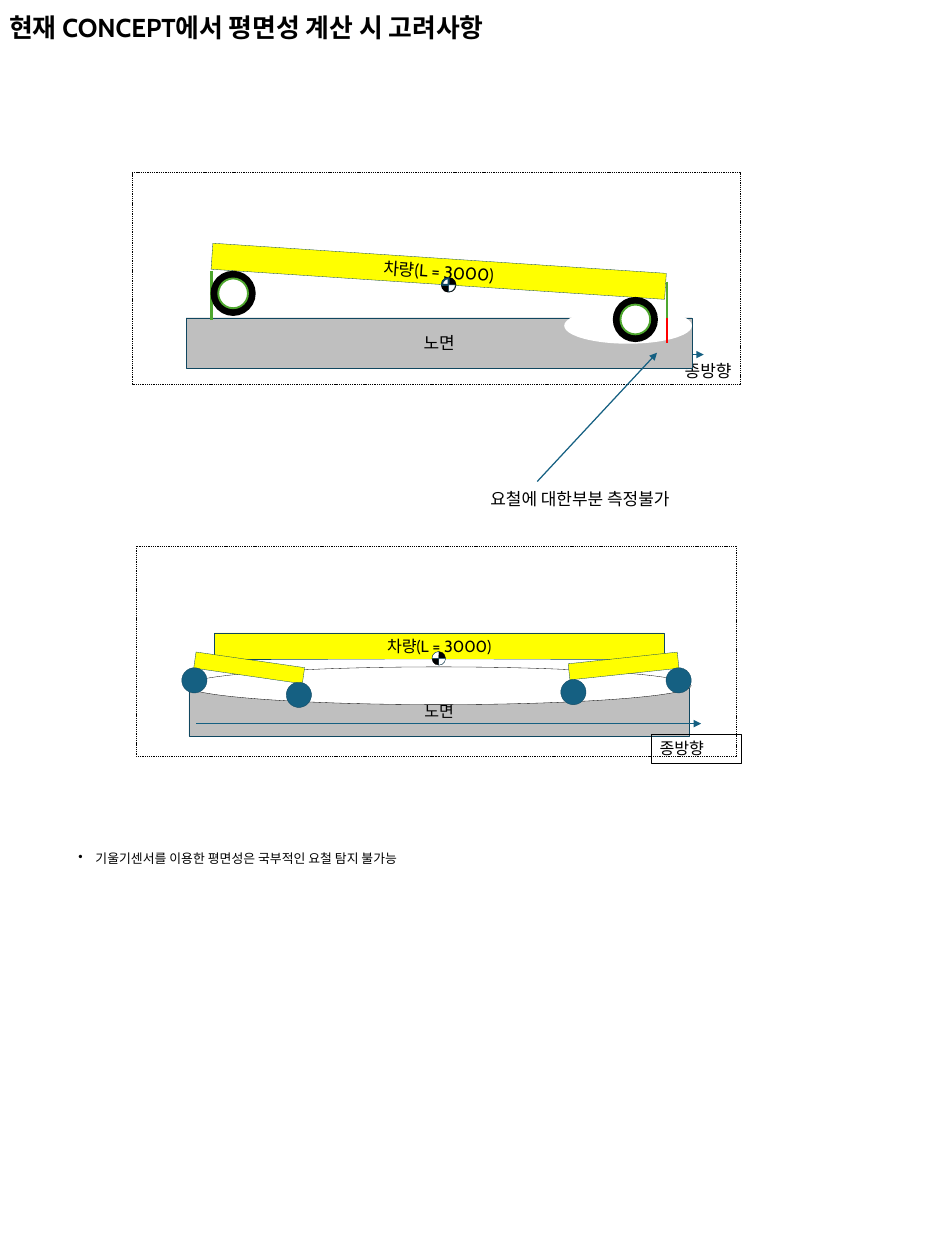
"""Build the slide on flatness calculation for a vehicle on an uneven road."""
from dataclasses import dataclass

from lxml import etree
from pptx import Presentation
from pptx.dml.color import RGBColor
from pptx.enum.dml import MSO_LINE
from pptx.enum.shapes import MSO_CONNECTOR, MSO_SHAPE
from pptx.enum.text import MSO_ANCHOR, MSO_AUTO_SIZE, PP_ALIGN
from pptx.oxml.ns import qn
from pptx.util import Pt

RECT, OVAL, PIE = MSO_SHAPE.RECTANGLE, MSO_SHAPE.OVAL, MSO_SHAPE.PIE
STRAIGHT, DASH = MSO_CONNECTOR.STRAIGHT, MSO_LINE.DASH
MIDDLE, TOP = MSO_ANCHOR.MIDDLE, MSO_ANCHOR.TOP
CENTER, LEFT = PP_ALIGN.CENTER, PP_ALIGN.LEFT
FIT, FIXED = MSO_AUTO_SIZE.SHAPE_TO_FIT_TEXT, MSO_AUTO_SIZE.NONE


@dataclass(frozen=True)
class Theme:
    font: str = "Cabin"
    black: str = "000000"
    white: str = "FFFFFF"
    body: str = "FFFF00"
    road: str = "BFBFBF"
    edge: str = "104760"
    accent: str = "156082"
    level: str = "4EA72E"
    gap: str = "FF0000"
    title: float = 20.7
    note: float = 10.3
    upper: float = 13.6
    lower: float = 12.9
    hair: float = 0.25
    thin: float = 1
    medium: float = 1.5
    thick: float = 2


THEME = Theme()

TITLE = "현재 CONCEPT에서 평면성 계산 시 고려사항"
NOTE = "기울기센서를 이용한 평면성은 국부적인 요철 탐지 불가능"
VEHICLE, ROAD, DIRECTION = "차량(L = 3000)", "노면", "종방향"
CALLOUT = "요철에 대한부분 측정불가"

TITLE_BOX = (0, 0, 652.3, 46)
NOTE_BOX = (53.3, 677.5, 516.2, 124.6)
TIRE, RIM, GRAVITY, ROLLER = 34.6, 23.8, 10.8, 20.2
BOGIE_SIZE = (87.8, 13)
BOGIES = [
    (8.2, (155.5, 527.8), [(145.4, 534.2), (229, 545.8)]),
    (-6.1, (455, 526.3), [(448.6, 543.6), (532.8, 534.2)]),
]


def write(frame, text, size, align=LEFT, anchor=TOP, bold=False):
    frame.text = text
    frame.vertical_anchor = anchor
    paragraph = frame.paragraphs[0]
    paragraph.alignment = align
    font = paragraph.font
    font.name, font.size, font.bold = THEME.font, Pt(size), bold
    font.color.rgb = RGBColor.from_string(THEME.black)
    return paragraph


def add_part(slide, preset, box, fill=None, edge=None, width=THEME.hair, turn=0):
    part = slide.shapes.add_shape(preset, *map(Pt, box))
    part.shadow.inherit = False
    part.rotation = turn
    if fill:
        part.fill.solid()
        part.fill.fore_color.rgb = RGBColor.from_string(fill)
    else:
        part.fill.background()
    if edge:
        part.line.color.rgb = RGBColor.from_string(edge)
        part.line.width = Pt(width)
    else:
        part.line.fill.background()
    return part


def add_block(slide, box, fill, text, size, turn=0):
    block = add_part(slide, RECT, box, fill, THEME.edge, turn=turn)
    write(block.text_frame, text, size, CENTER, MIDDLE)


def add_frame(slide, box):
    add_part(slide, RECT, box, edge=THEME.black).line.dash_style = DASH


def add_line(slide, start, end, color, width, arrow=False):
    line = slide.shapes.add_connector(STRAIGHT, *map(Pt, start + end))
    line.line.color.rgb = RGBColor.from_string(color)
    line.line.width = Pt(width)
    properties = line._element.spPr
    if arrow:
        etree.SubElement(properties.find(qn("a:ln")), qn("a:tailEnd"), type="triangle")
    etree.SubElement(properties, qn("a:effectLst"))


def add_label(slide, box, text):
    label = slide.shapes.add_textbox(*map(Pt, box)).text_frame
    label.word_wrap = False
    label.auto_size = FIT
    write(label, text, THEME.upper)


def add_wheel(slide, left, top):
    inset = (TIRE - RIM) / 2
    add_part(slide, OVAL, (left, top, TIRE, TIRE), THEME.black, THEME.black, THEME.medium)
    add_part(slide, OVAL, (left + inset, top + inset, RIM, RIM),
             THEME.white, THEME.level, THEME.medium)


def add_gravity_mark(slide, left, top, width):
    box = (left, top, GRAVITY, GRAVITY)
    add_part(slide, OVAL, box, THEME.black, THEME.black, width)
    for turn, edge_width in ((0, width), (180, THEME.hair)):
        quarter = add_part(slide, PIE, box, THEME.white, THEME.edge, edge_width, turn)
        quarter.adjustments[0], quarter.adjustments[1] = 108, 162


def add_tilted_vehicle(slide):
    add_line(slide, (154, 283.7), (563, 283.7), THEME.accent, THEME.thin, True)
    add_label(slide, (540.7, 285.1, 56.2, 23.8), DIRECTION)
    add_block(slide, (169.2, 206.6, 363.6, 20.9), THEME.body, VEHICLE, THEME.upper, 3.8)
    add_block(slide, (149, 254.2, 404.6, 40.3), THEME.road, ROAD, THEME.upper)
    add_frame(slide, (105.8, 137.5, 486, 169.9))
    add_line(slide, (169.2, 216.7), (169.2, 255.6), THEME.level, THEME.thick)
    add_wheel(slide, 169.2, 217.4)
    add_gravity_mark(slide, 353.5, 222.5, THEME.medium)
    add_part(slide, OVAL, (451.4, 246.2, 102.2, 28.8), THEME.white)
    add_line(slide, (533.5, 252.7), (533.5, 274.3), THEME.gap, THEME.thick)
    add_line(slide, (429.8, 385.2), (525.6, 282.2), THEME.accent, THEME.thin, True)
    add_label(slide, (385.2, 387.4, 172, 23.8), CALLOUT)
    add_line(slide, (533.5, 225.4), (533.5, 254.2), THEME.level, THEME.thick)
    add_wheel(slide, 491, 238.3)


def add_bogie_vehicle(slide):
    add_block(slide, (151.2, 549.4, 400.3, 39.6), THEME.road, ROAD, THEME.lower)
    add_part(slide, OVAL, (149, 533.5, 403.9, 30.2), THEME.white, THEME.black)
    add_line(slide, (157, 578.9), (560.9, 578.9), THEME.accent, THEME.hair, True)
    direction = add_part(slide, RECT, (520.6, 587.5, 72, 23), edge=THEME.black)
    direction.text_frame.auto_size = FIT
    write(direction.text_frame, DIRECTION, THEME.lower)
    add_block(slide, (171.4, 506.2, 360, 20.9), THEME.body, VEHICLE, THEME.lower)
    add_frame(slide, (108.7, 437, 480.2, 167.8))
    add_gravity_mark(slide, 345.6, 521.3, THEME.hair)
    for turn, beam, rollers in BOGIES:
        add_part(slide, RECT, beam + BOGIE_SIZE, THEME.body, THEME.edge, turn=turn)
        for roller in rollers:
            add_part(slide, OVAL, roller + (ROLLER, ROLLER), THEME.accent, THEME.edge, turn=turn)


def add_title(slide):
    title = slide.shapes.title
    title.left, title.top, title.width, title.height = map(Pt, TITLE_BOX)
    title.text_frame.auto_size = FIXED
    write(title.text_frame, TITLE, THEME.title, anchor=MIDDLE, bold=True).line_spacing = 0.9


def add_note(slide):
    note = slide.shapes.add_textbox(*map(Pt, NOTE_BOX)).text_frame
    note.word_wrap = True
    note.margin_left = note.margin_right = Pt(9.4)
    note.margin_top = note.margin_bottom = Pt(4.3)
    paragraph = write(note, NOTE, THEME.note)
    paragraph.line_spacing, paragraph.space_before = 0.9, Pt(7.5)
    properties = paragraph._p.pPr
    properties.set("marL", str(Pt(13.7)))
    properties.set("indent", str(-Pt(13.7)))
    bullet = etree.Element(qn("a:buChar"), char="•")
    properties.find(qn("a:defRPr")).addprevious(bullet)


def main():
    deck = Presentation()
    deck.slide_width, deck.slide_height = Pt(756), Pt(1008)
    slide = deck.slides.add_slide(deck.slide_layouts[5])
    add_title(slide)
    add_note(slide)
    add_tilted_vehicle(slide)
    add_bogie_vehicle(slide)
    deck.save("out.pptx")


if __name__ == "__main__":
    main()
